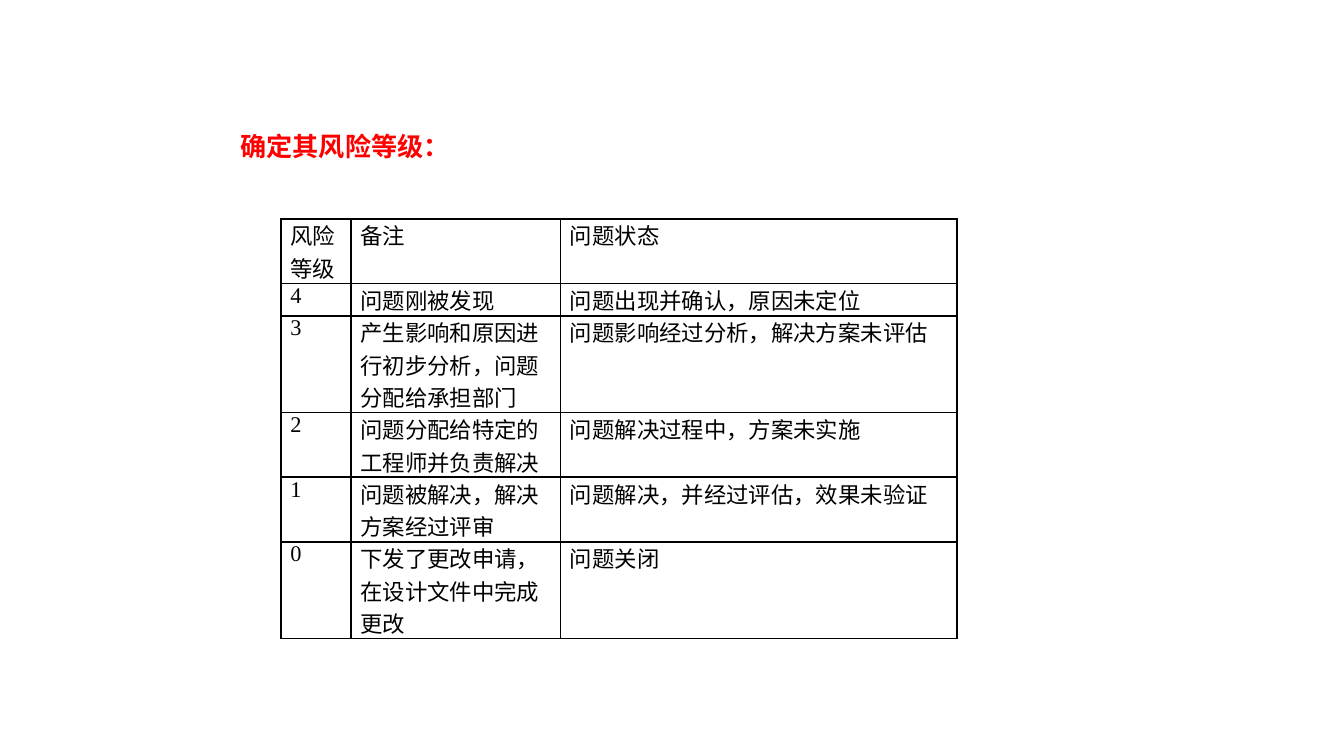
from dataclasses import dataclass

from lxml.etree import SubElement
from pptx import Presentation
from pptx.dml.color import RGBColor
from pptx.enum.text import MSO_ANCHOR, MSO_AUTO_SIZE, PP_ALIGN
from pptx.oxml.ns import qn
from pptx.slide import Slide
from pptx.table import _Cell
from pptx.text.text import TextFrame
from pptx.util import Cm, Pt

COLORS = {"heading": "FF0000", "text": "000000", "border": "000000"}
FONT = "Times New Roman"
COLUMN_WIDTHS = (1.32, 3.96, 7.5)
LINE_HEIGHT = 0.61


@dataclass(frozen=True)
class RiskLevel:
    """One table row and the number of text lines it holds."""
    level: str
    remark: str
    status: str
    lines: int


RISK_LEVELS = (
    RiskLevel("风险等级", "备注", "问题状态", 2),
    RiskLevel("4", "问题刚被发现", "问题出现并确认，原因未定位", 1),
    RiskLevel("3", "产生影响和原因进行初步分析，问题分配给承担部门",
              "问题影响经过分析，解决方案未评估", 3),
    RiskLevel("2", "问题分配给特定的工程师并负责解决", "问题解决过程中，方案未实施", 2),
    RiskLevel("1", "问题被解决，解决方案经过评审", "问题解决，并经过评估，效果未验证", 2),
    RiskLevel("0", "下发了更改申请，在设计文件中完成更改", "问题关闭", 3),
)


def write(frame: TextFrame, text: str, size: int, color: str, bold: bool = False) -> None:
    """Add one formatted, left-aligned run to a text frame."""
    paragraph = frame.paragraphs[0]
    paragraph.alignment = PP_ALIGN.LEFT
    run = paragraph.add_run()
    run.text = text
    run.font.name = FONT
    run.font.size = Pt(size)
    run.font.bold = bold
    run.font.color.rgb = RGBColor.from_string(COLORS[color])


def add_borders(cell: _Cell) -> None:
    """Draw a thin line on all four sides of a cell."""
    properties = cell._tc.get_or_add_tcPr()
    for position, side in enumerate(("lnL", "lnR", "lnT", "lnB")):
        line = SubElement(properties, qn(f"a:{side}"), w=str(Pt(1)))
        fill = SubElement(line, qn("a:solidFill"))
        SubElement(fill, qn("a:srgbClr"), val=COLORS["border"])
        properties.insert(position, line)


def fill_cell(cell: _Cell, text: str) -> None:
    """Write and format one table cell."""
    cell.margin_left = cell.margin_right = Cm(0.18)
    cell.margin_top = cell.margin_bottom = 0
    cell.fill.background()
    add_borders(cell)
    write(cell.text_frame, text, 12, "text")


def add_heading(slide: Slide) -> None:
    """Place the heading in the title placeholder."""
    heading = slide.shapes.title
    heading.left, heading.top = Cm(4.29), Cm(2.34)
    heading.width, heading.height = Cm(18.69), Cm(0.86)
    frame = heading.text_frame
    frame.vertical_anchor = MSO_ANCHOR.MIDDLE
    frame.auto_size = MSO_AUTO_SIZE.SHAPE_TO_FIT_TEXT
    write(frame, "确定其风险等级：", 14, "heading", bold=True)


def add_risk_table(slide: Slide) -> None:
    """Add the table of risk levels."""
    height = LINE_HEIGHT * sum(risk.lines for risk in RISK_LEVELS)
    table = slide.shapes.add_table(
        len(RISK_LEVELS), len(COLUMN_WIDTHS),
        Cm(5.31), Cm(4.14), Cm(sum(COLUMN_WIDTHS)), Cm(height)).table
    table.horz_banding = False
    table.first_row = False
    for column, width in zip(table.columns, COLUMN_WIDTHS):
        column.width = Cm(width)
    for row, risk in zip(table.rows, RISK_LEVELS):
        row.height = Cm(LINE_HEIGHT * risk.lines)
        for cell, text in zip(row.cells, (risk.level, risk.remark, risk.status)):
            fill_cell(cell, text)


def main() -> None:
    """Build and save the slide."""
    presentation = Presentation()
    presentation.slide_width, presentation.slide_height = Cm(25.4), Cm(14.29)
    slide = presentation.slides.add_slide(
        presentation.slide_layouts.get_by_name("Title Only"))
    add_risk_table(slide)
    add_heading(slide)
    presentation.save("out.pptx")


main()
